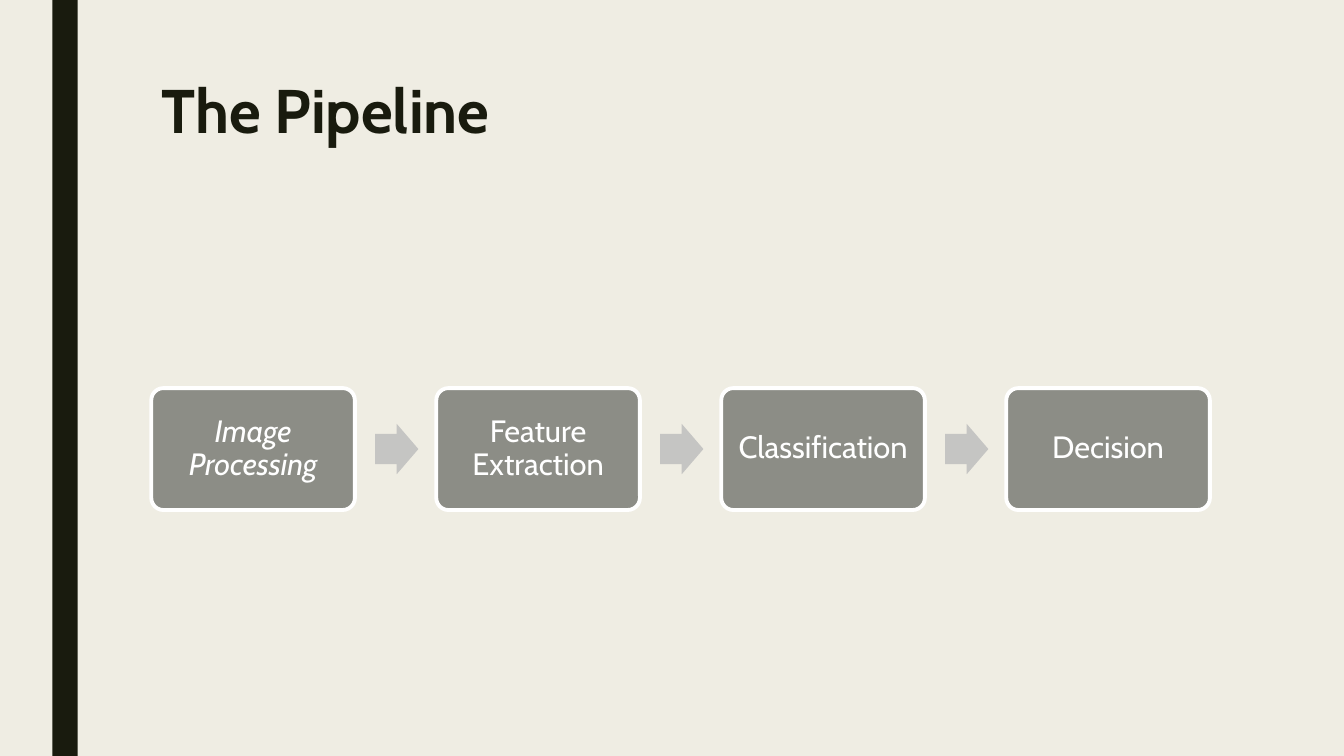
from dataclasses import dataclass

from pptx import Presentation
from pptx.dml.color import RGBColor
from pptx.enum import shapes, text
from pptx.util import Inches, Pt


@dataclass(frozen=True)
class Theme:
    font: str = "Cabin"
    background: str = "EFEDE3"
    ink: str = "191B0E"
    step: str = "8C8D86"
    arrow: str = "C5C5C3"
    white: str = "FFFFFF"
    title_size: float = 44
    step_size: float = 22
    outline: float = 2.75


def write(frame, content, *, font, size, color, align, anchor, spacing,
          bold=False, italic=False):
    frame.word_wrap = True
    frame.auto_size = text.MSO_AUTO_SIZE.NONE
    frame.vertical_anchor = anchor
    paragraph = frame.paragraphs[0]
    paragraph.alignment = align
    paragraph.line_spacing = spacing
    run = paragraph.add_run()
    run.text = content
    run.font.name = font
    run.font.size = Pt(size)
    run.font.color.rgb = RGBColor.from_string(color)
    run.font.bold = bold
    run.font.italic = italic


class PipelineSlide:
    def __init__(self, deck, theme):
        self.theme = theme
        self.slide = deck.slides.add_slide(deck.slide_layouts[5])
        backdrop = self.slide.background.fill
        backdrop.solid()
        backdrop.fore_color.rgb = RGBColor.from_string(theme.background)

    def block(self, kind, left, top, width, height, color, adjustments=()):
        block = self.slide.shapes.add_shape(
            kind, Inches(left), Inches(top), Inches(width), Inches(height))
        block.shadow.inherit = False
        block.fill.solid()
        block.fill.fore_color.rgb = RGBColor.from_string(color)
        block.line.fill.background()
        for index, value in enumerate(adjustments):
            block.adjustments[index] = value
        return block

    def title(self, content):
        heading = self.slide.shapes.title
        heading.left, heading.top = Inches(1.5), Inches(0.75)
        heading.width, heading.height = Inches(10.5), Inches(1.62)
        write(heading.text_frame, content, font=self.theme.font,
              size=self.theme.title_size, color=self.theme.ink, bold=True,
              align=text.PP_ALIGN.LEFT, anchor=text.MSO_ANCHOR.TOP, spacing=0.89)

    def side_bar(self):
        self.block(shapes.MSO_SHAPE.RECTANGLE, 0.52, 0, 0.25, 7.5, self.theme.ink)

    def step(self, content, left, top, width, height, italic=False):
        step = self.block(shapes.MSO_SHAPE.ROUNDED_RECTANGLE, left, top, width,
                          height, self.theme.step, (0.1,))
        step.line.color.rgb = RGBColor.from_string(self.theme.white)
        step.line.width = Pt(self.theme.outline)
        frame = step.text_frame
        frame.margin_left = frame.margin_right = Inches(0.09)
        frame.margin_top = frame.margin_bottom = Inches(0.09)
        write(frame, content, font=self.theme.font, size=self.theme.step_size,
              color=self.theme.white, italic=italic, align=text.PP_ALIGN.CENTER,
              anchor=text.MSO_ANCHOR.MIDDLE, spacing=0.9)

    def arrow(self, left, top, width, height):
        self.block(shapes.MSO_SHAPE.RIGHT_ARROW, left, top, width, height,
                   self.theme.arrow, (0.6, 0.5))

    def pipeline(self, stages):
        first_left, top, width, height = 1.5, 3.85, 2.02, 1.21
        pitch = (10.5 - width) / (len(stages) - 1)
        arrow_width, arrow_height = 0.43, 0.5
        arrow_top = top + (height - arrow_height) / 2
        for index, (stage, italic) in enumerate(stages):
            left = first_left + index * pitch
            self.step(stage, left, top, width, height, italic)
            if index < len(stages) - 1:
                self.arrow(left + width + 0.2, arrow_top, arrow_width, arrow_height)


def main():
    deck = Presentation()
    deck.slide_width, deck.slide_height = Inches(13.33), Inches(7.5)
    page = PipelineSlide(deck, Theme())
    page.side_bar()
    page.title("The Pipeline")
    page.pipeline([
        ("Image Processing", True),
        ("Feature Extraction", False),
        ("Classification", False),
        ("Decision", False),
    ])
    deck.save("out.pptx")


if __name__ == "__main__":
    main()
